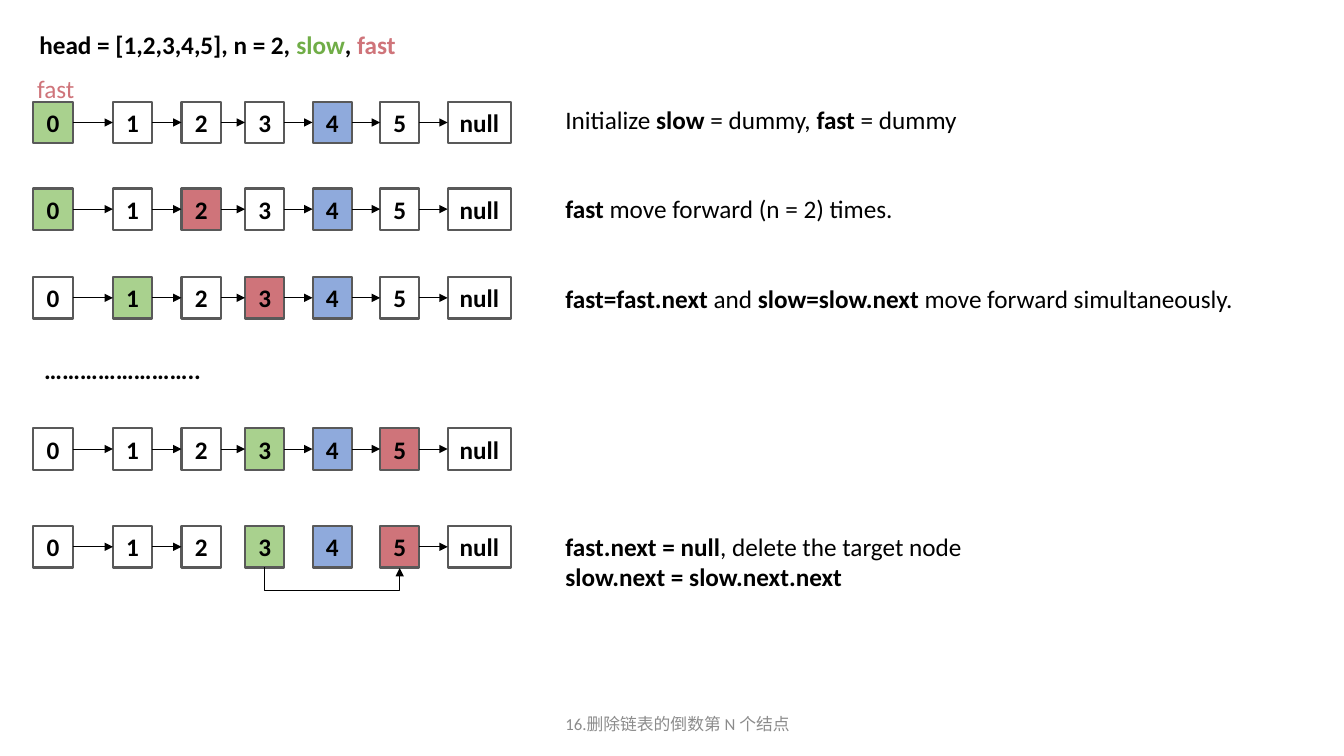
import pptx
import pptx.util
import pptx.dml.color
import pptx.enum.shapes
import pptx.enum.text
import pptx.oxml
import pptx.oxml.ns
from itertools import pairwise

COLORS = {"text": "000000", "footer": "8C8C8C", "border": "595959", "plain": "FFFFFF",
          "slow": "A9D18E", "fast": "CF747A", "target": "8FAADC", "slow_text": "70AD47"}
TITLE = [("head = [1,2,3,4,5], n = 2, ", True, "text"), ("slow", True, "slow_text"),
         (", ", True, "text"), ("fast", True, "fast")]
FOOTER = [("16.删除链表的倒数第 N 个结点", False, "footer")]
FAST_LABEL = [("fast", False, "fast")]
ELLIPSIS = [("……………………..", True, "text")]

NODES = ["0", "1", "2", "3", "4", "5", "null"]
NODE_LEFTS = [0.33, 1.12, 1.8, 2.43, 3.1, 3.77, 4.44]
NODE_W, NULL_W, NODE_H = 0.39, 0.63, 0.41
TARGET = "4"
STEPS = [
    {"top": 1.01, "slow": "0", "fast": None, "cut": "", "note": (0.99, 4.13, 0.4, [
        ("Initialize ", False, "text"), ("slow", True, "text"), (" = dummy, ", False, "text"),
        ("fast", True, "text"), (" = dummy", False, "text")])},
    {"top": 1.87, "slow": "0", "fast": "2", "cut": "", "note": (1.87, 3.55, 0.4, [
        ("fast", True, "text"), (" move forward (n = 2) times.", False, "text")])},
    {"top": 2.75, "slow": "1", "fast": "3", "cut": "", "note": (2.76, 6.88, 0.4, [
        ("fast=fast.next", True, "text"), (" and ", False, "text"),
        ("slow=slow.next", True, "text"), (" move forward simultaneously.", False, "text")])},
    {"top": 4.25, "slow": "3", "fast": "5", "cut": "", "note": None},
    {"top": 5.22, "slow": "3", "fast": "5", "cut": "234", "note": (5.22, 4.18, 0.71, [
        ("fast.next = null", True, "text"), (", delete the target node", False, "text"),
        ("\n", False, "text"), ("slow.next = slow.next.next", True, "text")])},
]
NOTE_LEFT = 5.51
BYPASS_DROP, BYPASS_DEPTH = 0.24, 0.01

PP_ALIGN = pptx.enum.text.PP_ALIGN
ANCHOR = pptx.enum.text.MSO_ANCHOR
CONNECTOR = pptx.enum.shapes.MSO_CONNECTOR
inch = pptx.util.Inches


def rgb(name):
    return pptx.dml.color.RGBColor.from_string(COLORS[name])


def write(sp, runs, size=18, align=PP_ALIGN.LEFT, anchor=ANCHOR.TOP, wrap=True):
    tf = sp.text_frame
    tf.word_wrap = wrap
    tf.auto_size = pptx.enum.text.MSO_AUTO_SIZE.NONE
    tf.vertical_anchor = anchor
    p = tf.paragraphs[0]
    p.alignment = align
    p.font.size = pptx.util.Pt(size)
    p.font.name = "Calibri"
    for text, bold, color in runs:
        if text == "\n":
            p.add_line_break()
            continue
        r = p.add_run()
        r.text = text
        r.font.size = pptx.util.Pt(size)
        r.font.name = "Calibri"
        r.font.bold = bold
        r.font.color.rgb = rgb(color)


def add_text(box, runs, **style):
    sp = slide.shapes.add_textbox(*map(inch, box))
    write(sp, runs, **style)


def add_node(left, top, label, fill):
    width = NULL_W if label == "null" else NODE_W
    sp = slide.shapes.add_shape(pptx.enum.shapes.MSO_SHAPE.RECTANGLE,
                                *map(inch, (left, top, width, NODE_H)))
    sp.shadow.inherit = False
    sp.fill.solid()
    sp.fill.fore_color.rgb = rgb(fill)
    sp.line.color.rgb = rgb("border")
    sp.line.width = pptx.util.Pt(1.5)
    write(sp, [(label, True, "text")], align=PP_ALIGN.CENTER, anchor=ANCHOR.MIDDLE, wrap=False)
    return sp


def add_arrow(kind):
    cx = slide.shapes.add_connector(kind, 0, 0, 0, 0)
    cx.line.color.rgb = rgb("text")
    cx.line.width = pptx.util.Pt(0.5)
    ln = cx.line._get_or_add_ln()
    ln.append(pptx.oxml.parse_xml(f'<a:tailEnd {pptx.oxml.ns.nsdecls("a")} type="triangle"/>'))
    ln.addnext(pptx.oxml.parse_xml(f'<a:effectLst {pptx.oxml.ns.nsdecls("a")}/>'))
    return cx


def add_bypass(start, end):
    cx = add_arrow(CONNECTOR.ELBOW)
    span = end.left - start.left
    depth = inch(BYPASS_DEPTH)
    center_x = (start.left + end.left + start.width) // 2
    bottom = start.top + start.height
    cx.left, cx.top = center_x - depth // 2, bottom - span // 2
    cx.width, cx.height = depth, span
    xfrm = cx._element.spPr.find(pptx.oxml.ns.qn("a:xfrm"))
    xfrm.set("rot", str(270 * 60000))
    xfrm.set("flipH", "1")
    geom = cx._element.spPr.find(pptx.oxml.ns.qn("a:prstGeom"))
    bend = round(BYPASS_DROP / BYPASS_DEPTH * 100000)
    geom.get_or_add_avLst().append(pptx.oxml.parse_xml(
        f'<a:gd {pptx.oxml.ns.nsdecls("a")} name="adj1" fmla="val {bend}"/>'))


def add_step(step):
    fills = {TARGET: "target", step["slow"]: "slow", step["fast"]: "fast"}
    nodes = {label: add_node(left, step["top"], label, fills.get(label, "plain"))
             for label, left in zip(NODES, NODE_LEFTS)}
    for a, b in pairwise(NODES):
        if a not in step["cut"]:
            cx = add_arrow(CONNECTOR.STRAIGHT)
            cx.begin_connect(nodes[a], 3)
            cx.end_connect(nodes[b], 1)
    if step["cut"]:
        add_bypass(nodes[step["slow"]], nodes[step["fast"]])
    if step["note"]:
        top, width, height, runs = step["note"]
        add_text((NOTE_LEFT, top, width, height), runs, wrap=False)


prs = pptx.Presentation()
prs.slide_width, prs.slide_height = inch(13.33), inch(7.5)
slide = prs.slides.add_slide(prs.slide_layouts[5])
title = slide.shapes.title
title.left, title.top, title.width, title.height = map(inch, (0.29, 0.24, 4.52, 0.4))
write(title, TITLE)
for step in STEPS:
    add_step(step)
add_text((0.27, 0.68, 0.57, 0.4), FAST_LABEL, wrap=False)
add_text((0.34, 3.47, 1.77, 0.4), ELLIPSIS, wrap=False)
add_text((4.47, 6.98, 4.5, 0.4), FOOTER, size=12, align=PP_ALIGN.CENTER, anchor=ANCHOR.MIDDLE)
prs.save("out.pptx")
